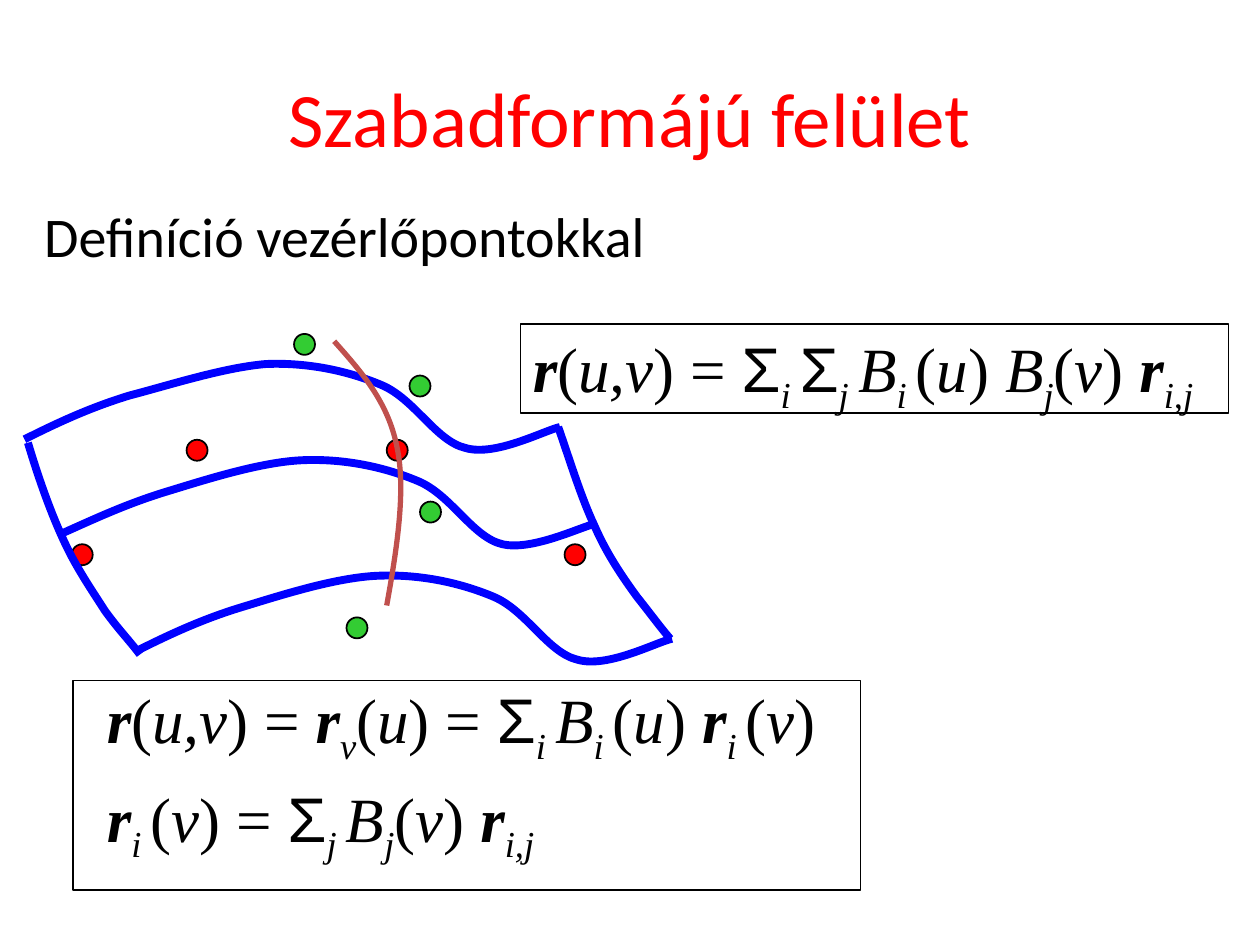
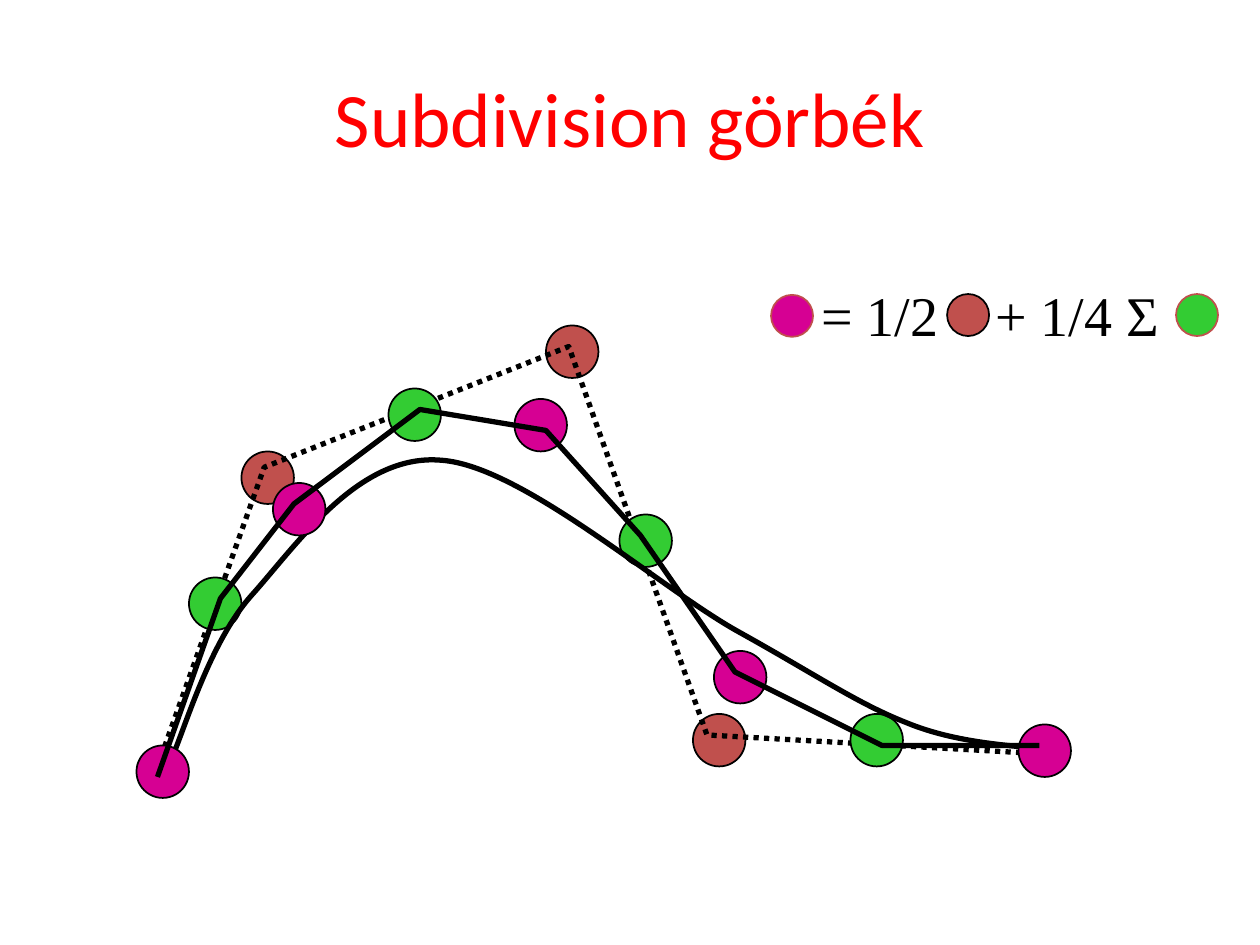
from pptx import Presentation
from pptx import util as u
from pptx.dml.color import RGBColor
from pptx.enum import dml, shapes, text
from pptx.oxml import ns, xmlchemy

COLOURS = {
    "title": "FF0000",
    "text": "000000",
    "edge": "000000",
    "surface": "0000FF",
    "red": "FF0000",
    "green": "33CC33",
    "brown": "C0504D",
    "pink": "D60093",
}
COLOURS = {name: RGBColor.from_string(value) for name, value in COLOURS.items()}
TITLE_FONT, FORMULA_FONT, SYMBOL_FONT = "Calibri", "Times New Roman", "Arial"


def add_discs(slide, corners, size, fill, edge="edge"):
    """Draw equal circles, each given by its left and top."""
    for left, top in corners:
        disc = slide.shapes.add_shape(
            shapes.MSO_SHAPE.OVAL, u.Pt(left), u.Pt(top), u.Pt(size), u.Pt(size))
        disc.shadow.inherit = False
        disc.fill.solid()
        disc.fill.fore_color.rgb = COLOURS[fill]
        disc.line.color.rgb = COLOURS[edge]
        disc.line.width = u.Pt(1)


def add_outline(slide, points, colour, width, curved=True):
    """Draw an open line; if curved, every three points after the first form a Bézier."""
    builder = slide.shapes.build_freeform(*points[0], scale=u.Pt(1))
    builder.add_line_segments(points[1:], close=False)
    outline = builder.convert_to_shape()
    outline.shadow.inherit = False
    outline.fill.background()
    outline.line.color.rgb = COLOURS[colour]
    outline.line.width = u.Pt(width)
    if curved:
        segments = outline._element.findall(".//" + ns.qn("a:lnTo"))
        for start in range(0, len(segments), 3):
            bezier = xmlchemy.OxmlElement("a:cubicBezTo")
            segments[start].addprevious(bezier)
            for segment in segments[start:start + 3]:
                bezier.append(segment[0])
                segment.getparent().remove(segment)
    return outline


presentation = Presentation()
presentation.slide_width, presentation.slide_height = u.Pt(720), u.Pt(540)

# Slides and their titles
slides = []
for layout_index, title in [(1, "Szabadformájú felület"), (5, "Subdivision görbék")]:
    slide = presentation.slides.add_slide(presentation.slide_layouts[layout_index])
    shape = slide.shapes.title
    shape.left, shape.top, shape.width, shape.height = u.Pt(36), u.Pt(21.6), u.Pt(648), u.Pt(90)
    shape.text_frame.text = title
    shape.text_frame.vertical_anchor = text.MSO_ANCHOR.MIDDLE
    paragraph = shape.text_frame.paragraphs[0]
    paragraph.alignment = text.PP_ALIGN.CENTER
    paragraph.font.name, paragraph.font.size = TITLE_FONT, u.Pt(44)
    paragraph.font.color.rgb = COLOURS["title"]
    slides.append(slide)
surface_slide, subdivision_slide = slides

# Free-form surface: definition
body = surface_slide.placeholders[1]
body.left, body.top, body.width, body.height = u.Pt(18), u.Pt(111.6), u.Pt(648), u.Pt(54)
body.text_frame.text = "Definíció vezérlőpontokkal"
body.text_frame.auto_size = text.MSO_AUTO_SIZE.NONE
paragraph = body.text_frame.paragraphs[0]
properties = paragraph._p.get_or_add_pPr()
properties.set("marL", "0")
properties.set("indent", "0")
properties.append(xmlchemy.OxmlElement("a:buNone"))
paragraph.space_before = u.Pt(0)
paragraph.font.name, paragraph.font.size = TITLE_FONT, u.Pt(32)
paragraph.font.color.rgb = COLOURS["text"]

# Surface mesh: one profile per direction, repeated from several starts
add_discs(surface_slide, [(41, 311), (106.6, 251.3), (221, 251.3), (322.6, 311)], 12, "red")
u_profile = [
    (0, 0), (18.7, -8.6), (37.4, -17.3), (60.5, -24.5),
    (83.5, -31), (114.5, -41), (138.2, -42.5),
    (162, -43.2), (185, -38.2), (204.5, -30.2),
    (223.2, -22.3), (235.4, 1.4), (252, 5.8),
    (269.3, 10.1), (297.4, -4.3), (306, -6.5)]
v_profile = [
    (0, 0), (6.5, 20.2), (13, 40.3), (20.9, 56.9),
    (28.1, 72.7), (37.4, 85.7), (44.6, 96.5),
    (52.6, 107.3), (58.3, 113.8), (64.1, 121)]
for profile, starts in [
    (u_profile, [(34.6, 305.3), (13.7, 250.6), (77.8, 371.5)]),
    (v_profile, [(319, 244.1), (15.8, 252.7)]),
]:
    for left, top in starts:
        add_outline(surface_slide, [(left + x, top + y) for x, y in profile], "surface", 4.5)

control_curve = [
    (190.8, 195.1), (206.6, 213.1), (221.8, 230.4), (226.8, 255.6),
    (231.8, 280.1), (226.8, 313.2), (221, 345.6)]
add_outline(surface_slide, control_curve, "brown", 3)
add_discs(surface_slide, [(168, 190.8), (234, 214.6), (240, 286.6), (198, 352.8)], 12, "green")

# Formulas: pieces split at |, led by * for a vector, / for italic, _ for a subscript
formula_boxes = [
    ((297.4, 185, 404.6, 51), 7.2, 3.6, [
        "*r|(|/u,v|) = |Σ|_i |Σ|_j |/B|_i |(|/u|) |/B|_j|(|/v|) |*r|_i,j"]),
    ((41.8, 388.8, 450, 120), 19.3, 0, [
        "*r|(|/u,v|) = |*r|_v|(|/u|) = |Σ|_i |/B|_i |(|/u|) |*r|_i |(|/v|)",
        "*r|_i |(|/v|) = |Σ|_j |/B|_j|(|/v|) |*r|_i,j"]),
]
for bounds, left_inset, top_inset, formulas in formula_boxes:
    box = surface_slide.shapes.add_shape(shapes.MSO_SHAPE.RECTANGLE, *map(u.Pt, bounds))
    box.shadow.inherit = False
    box.fill.background()
    box.line.color.rgb = COLOURS["edge"]
    box.line.width = u.Pt(1)
    frame = box.text_frame
    frame.word_wrap = False
    frame.vertical_anchor = text.MSO_ANCHOR.TOP
    frame.margin_left, frame.margin_top = u.Pt(left_inset), u.Pt(top_inset)
    for index, formula in enumerate(formulas):
        paragraph = frame.add_paragraph() if index else frame.paragraphs[0]
        paragraph.alignment = text.PP_ALIGN.LEFT
        paragraph.space_before = u.Pt(7.2 if index else 0)
        for piece in formula.split("|"):
            mark = piece[0]
            run = paragraph.add_run()
            run.text = piece.lstrip("*/_")
            run.font.name = SYMBOL_FONT if mark == "Σ" else FORMULA_FONT
            run.font.size = u.Pt(36)
            run.font.color.rgb = COLOURS["text"]
            run.font.bold = mark == "*"
            run.font.italic = mark in "*/_"
            if mark == "_":
                run._r.get_or_add_rPr().set("baseline", "-25000")

# Subdivision curve: control polygon, midpoints, limit curve, refined polygon
add_discs(subdivision_slide, [(138, 258), (312, 186), (396, 408)], 30, "brown")
control_polygon = [(90, 437.8), (151.2, 267.1), (325.4, 198), (403.9, 420.5), (581.8, 429.8)]
dotted = add_outline(subdivision_slide, control_polygon, "edge", 3, curved=False)
dotted.line.dash_style = dml.MSO_LINE.ROUND_DOT
add_discs(subdivision_slide, [(108, 330), (222, 222), (354, 294), (486, 408)], 30, "green")
limit_curve = [
    (95.8, 428.4), (92.2, 440.6), (87.8, 452.9), (95.8, 438.5),
    (103.7, 423.4), (118.1, 369.4), (144, 339.8),
    (169.9, 311), (205.2, 259.2), (252, 262.8),
    (298.1, 265.7), (377.3, 336.2), (421.9, 361.4),
    (466.6, 385.9), (489.6, 402.5), (518.4, 413.3),
    (547.2, 424.8), (579.6, 425.5), (595.4, 428.4)]
add_outline(subdivision_slide, limit_curve, "edge", 3)
add_discs(subdivision_slide,
          [(408, 372), (294, 228), (156, 276), (78, 426), (582, 414)], 30, "pink")
refined_polygon = [
    (90, 444), (126, 342), (168, 288), (240, 234), (312, 246),
    (366, 306), (420, 384), (504, 426), (594, 426)]
add_outline(subdivision_slide, refined_polygon, "edge", 3, curved=False)

# Subdivision rule
add_discs(subdivision_slide, [(541.2, 168)], 24, "brown")
add_discs(subdivision_slide, [(440.6, 168.5)], 24, "pink", "brown")
add_discs(subdivision_slide, [(672, 168)], 24, "green", "brown")
for left, width, term in [(462.2, 84, "= 1/2"), (561.6, 108, "+ 1/4 Σ")]:
    box = subdivision_slide.shapes.add_textbox(u.Pt(left), u.Pt(157), u.Pt(width), u.Pt(45.4))
    box.text_frame.text = term
    paragraph = box.text_frame.paragraphs[0]
    paragraph.font.name, paragraph.font.size = FORMULA_FONT, u.Pt(32)
    paragraph.font.color.rgb = COLOURS["text"]

presentation.save("out.pptx")
